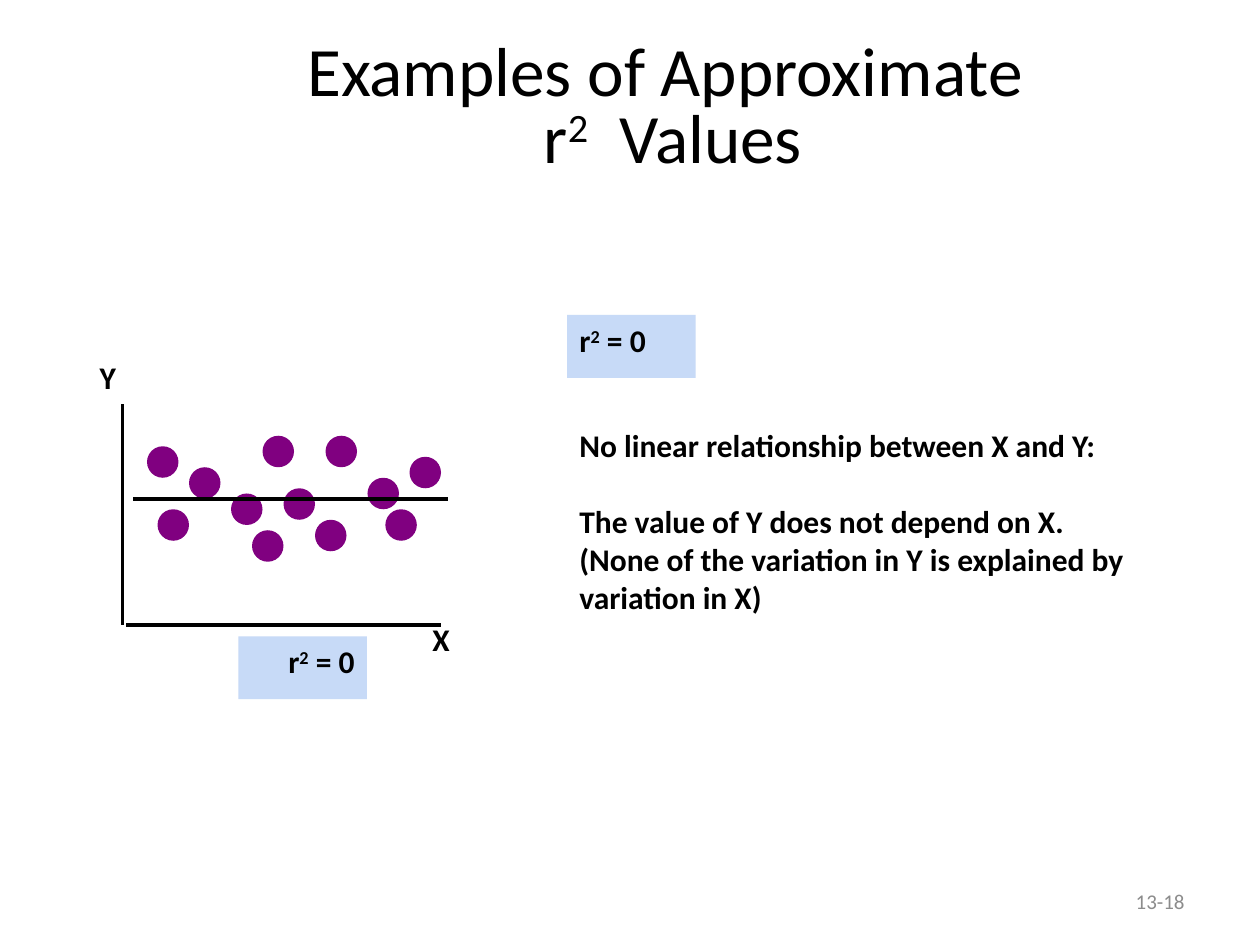
from pptx import Presentation
from pptx import util as u
from pptx.dml.color import RGBColor
from pptx.enum import shapes, text
from pptx.oxml.ns import qn
from lxml import etree

HUES = {"ink": "000000", "dot": "800080", "tint": "C7DAF7", "page": "8C8C8C"}
FACE = "Calibri"
CELL = u.Inches(1) / 12
DOTS = [(15, 7), (39, 2), (35, 4), (30, 8), (31, 0), (25, 0), (14, 1),
        (18, 3), (22, 5.5), (27, 5), (24, 9), (36.7, 7)]
AXES = [(11.65, 38.5, 11.65, 59.5), (12, 59.5, 42, 59.5)]
TREND = (12.7, 47.5, 42.7, 47.5)


def grid(*cells):
    return [u.Emu(round(c * CELL)) for c in cells]


def hue(name):
    return RGBColor.from_string(HUES[name])


def style(para, size, bold=False, align=text.PP_ALIGN.LEFT, ink="ink"):
    font = para.font
    font.name, font.size, font.bold = FACE, u.Pt(size), bold
    font.color.rgb = hue(ink)
    para.alignment = align


def power(para, head, tail):
    for part, base in ((head, 0), ("2", 30000), (tail, 0)):
        run = para.add_run()
        run.text = part
        if base:
            run._r.get_or_add_rPr().set("baseline", str(base))


def frame(slide, box):
    shape = slide.shapes.add_textbox(*grid(*box))
    shape.text_frame.word_wrap = True
    return shape


def title(slide):
    shape = slide.shapes.title
    shape.left, shape.top, shape.width, shape.height = grid(13, 4, 102.2, 13)
    body = shape.text_frame
    body.vertical_anchor = text.MSO_ANCHOR.MIDDLE
    para = body.paragraphs[0]
    style(para, 39.6, align=text.PP_ALIGN.CENTER)
    para.line_spacing = 0.8
    para.add_run().text = "Examples of Approximate "
    para.add_line_break()
    power(para, "r", "  Values")


def badge(slide, col, row, align):
    shape = frame(slide, (col, row, 12.25, 6))
    shape.fill.solid()
    shape.fill.fore_color.rgb = hue("tint")
    para = shape.text_frame.paragraphs[0]
    style(para, 18, True, align)
    power(para, "r", " = 0")


def label(slide, box, lines, gap=0):
    body = frame(slide, box).text_frame
    body.text = "\n".join(lines)
    for para in body.paragraphs:
        style(para, 18, True)
    body.paragraphs[0].space_after = u.Pt(gap)


def line(slide, ends):
    link = slide.shapes.add_connector(shapes.MSO_CONNECTOR.STRAIGHT, *grid(*ends))
    link.line.color.rgb = hue("ink")
    link.line.width = u.Pt(2)
    etree.SubElement(link._element.spPr, qn("a:effectLst"))


def dot(slide, col, row):
    shape = slide.shapes.add_shape(shapes.MSO_SHAPE.OVAL, *grid(col, 41.5 + row, 3, 3))
    shape.shadow.inherit = False
    shape.fill.solid()
    shape.fill.fore_color.rgb = hue("dot")
    shape.line.fill.background()


def plot(slide):
    for ends in AXES:
        line(slide, ends)
    for spot in DOTS:
        dot(slide, *spot)
    line(slide, TREND)
    label(slide, (8.3, 33.5, 5, 6), ["Y"])
    label(slide, (40, 58.5, 5, 6), ["X"])


def page(slide):
    body = frame(slide, (86, 83.4, 28, 4.8)).text_frame
    body.vertical_anchor = text.MSO_ANCHOR.MIDDLE
    body.text = "13-18"
    style(body.paragraphs[0], 12, align=text.PP_ALIGN.RIGHT, ink="page")


def main():
    deck = Presentation()
    deck.slide_width, deck.slide_height = grid(120, 90)
    slide = deck.slides.add_slide(deck.slide_layouts[5])
    title(slide)
    badge(slide, 54, 30, text.PP_ALIGN.LEFT)
    label(slide, (54, 40, 55, 34.8), [
        "No linear relationship between X and Y:",
        "The value of Y does not depend on X.  "
        "(None of the variation in Y is explained by variation in X)"], 22)
    plot(slide)
    badge(slide, 22.7, 60.6, text.PP_ALIGN.RIGHT)
    page(slide)
    deck.save("out.pptx")


if __name__ == "__main__":
    main()
